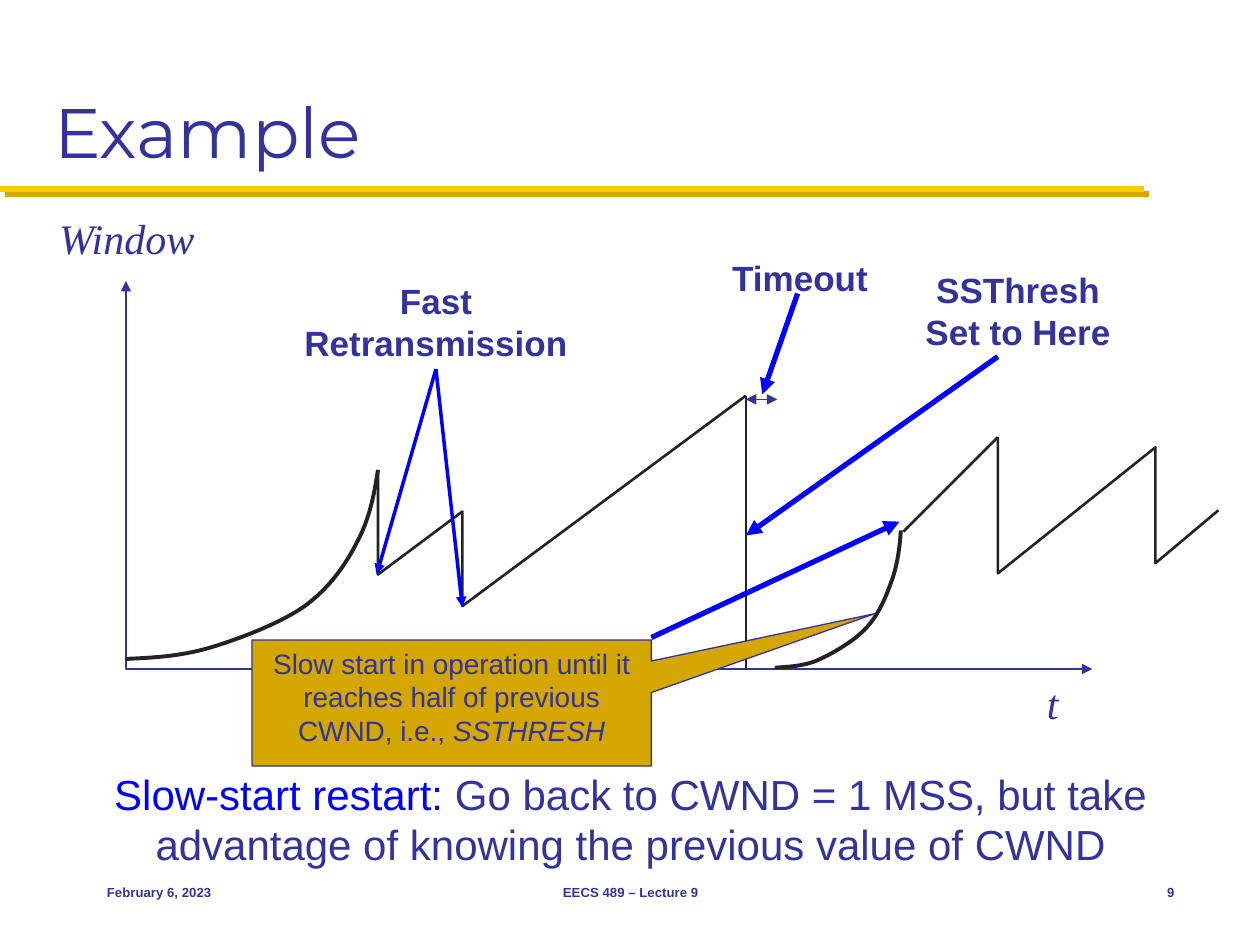
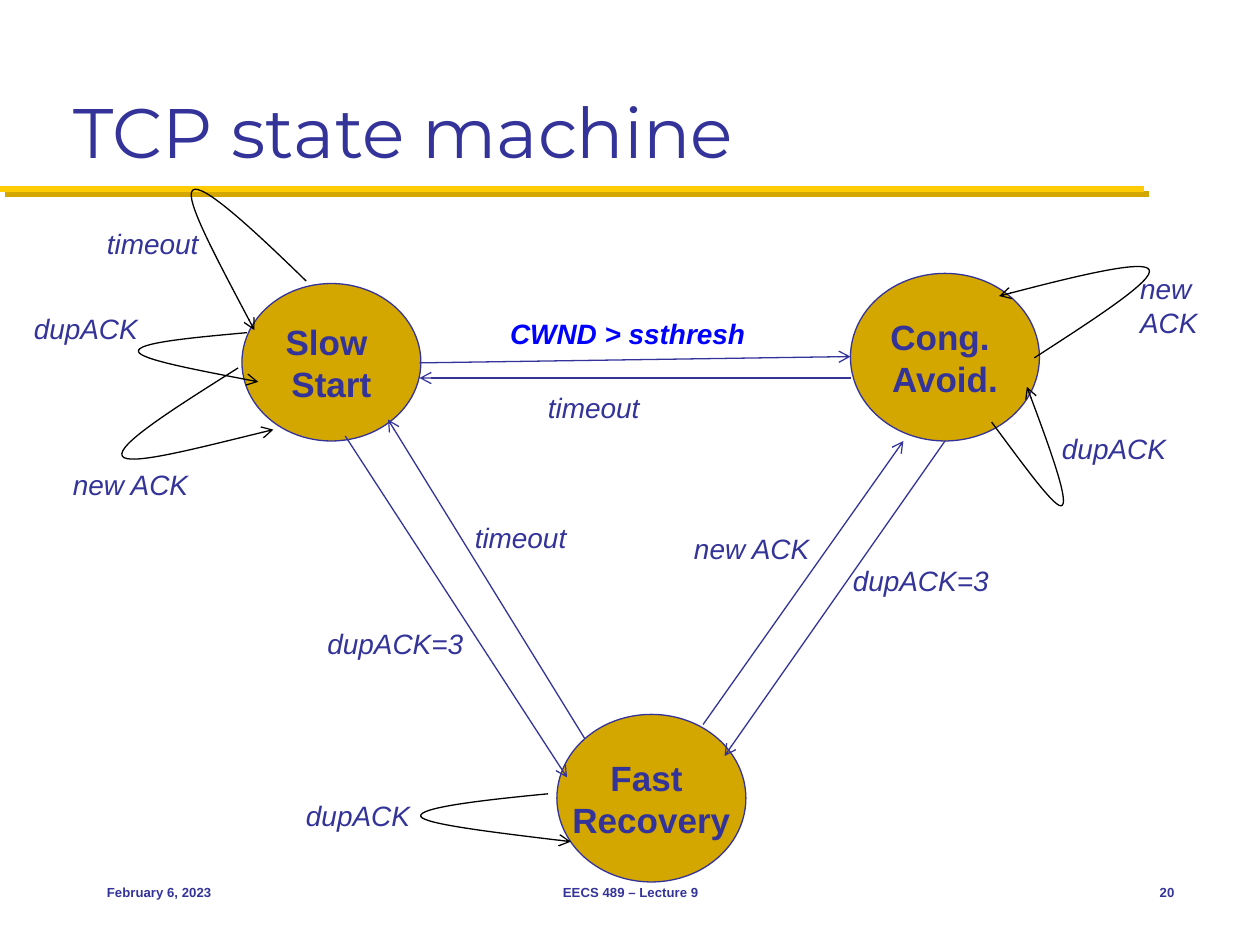
from collections import namedtuple

from lxml import etree
from pptx import Presentation
from pptx.dml.color import RGBColor
from pptx.enum.shapes import MSO_CONNECTOR, MSO_SHAPE
from pptx.enum.text import MSO_ANCHOR, MSO_AUTO_SIZE, PP_ALIGN
from pptx.oxml.ns import qn
from pptx.util import Inches, Pt

STRAIGHT = MSO_CONNECTOR.STRAIGHT
OVAL, CALLOUT = MSO_SHAPE.OVAL, MSO_SHAPE.RECTANGULAR_CALLOUT
TOP, MIDDLE, BOTTOM = MSO_ANCHOR.TOP, MSO_ANCHOR.MIDDLE, MSO_ANCHOR.BOTTOM
LEFT, CENTER, RIGHT = PP_ALIGN.LEFT, PP_ALIGN.CENTER, PP_ALIGN.RIGHT
GROW, FIXED = MSO_AUTO_SIZE.SHAPE_TO_FIT_TEXT, MSO_AUTO_SIZE.NONE

COLORS = {
    "navy": "333399", "blue": "0000FF", "yellow": "FFCB05",
    "gold": "D3A600", "ink": "232323", "black": "000000",
}
TITLE_FONT, BODY_FONT, AXIS_FONT = "Montserrat", "Arial", "Times New Roman"

Box = namedtuple("Box", "left top width height")
TITLE_BOX = Box(0.33, 0.17, 9.33, 1.25)
PLOT_BOX = Box(1, 2.23, 8.67, 3.08)
SUMMARY_BOX = Box(0.72, 6.05, 8.57, 0.91)
STATES_BOX = Box(0, 1.5, 10, 5.5)


def rgb(name):
    return RGBColor.from_string(COLORS[name])


def inside(box, left, top, width, height):
    """Turn a place measured from the corner of box into a place on the page."""
    return Box(box.left + left, box.top + top, width, height)


def shifted(box, points):
    return [(box.left + x, box.top + y) for x, y in points]


def lengths(values):
    return [Inches(value) for value in values]


def add_run(para, text, size, color="navy", font=BODY_FONT, bold=False, italic=False):
    span = para.add_run()
    span.text = text
    span.font.size = Pt(size)
    span.font.name = font
    span.font.bold = bold
    span.font.italic = italic
    span.font.color.rgb = rgb(color)


def add_text(page, box, lines, size, align=LEFT, wrap=True, fit=GROW,
             anchor=TOP, **style):
    """Add a text box with one paragraph for each line."""
    frame = page.shapes.add_textbox(*lengths(box)).text_frame
    frame.word_wrap = wrap
    frame.auto_size = fit
    frame.vertical_anchor = anchor
    for number, line in enumerate(lines):
        para = frame.add_paragraph() if number else frame.paragraphs[0]
        para.alignment = align
        add_run(para, line, size, **style)
    return frame.paragraphs[0]


def style_line(shape, color, width, head=None, tail=None):
    shape.line.color.rgb = rgb(color)
    shape.line.width = Pt(width)
    outline = shape.line._get_or_add_ln()
    for tag, kind in (("a:headEnd", head), ("a:tailEnd", tail)):
        if kind:
            etree.SubElement(outline, qn(tag)).set("type", kind)


def add_line(page, start, end, color, width, head=None, tail=None):
    line = page.shapes.add_connector(STRAIGHT, *lengths(start + end))
    style_line(line, color, width, head, tail)
    etree.SubElement(line.element.find(qn("p:spPr")), qn("a:effectLst"))
    return line


def add_path(page, points, color, width, head=None, tail=None):
    corners = [lengths(point) for point in points]
    builder = page.shapes.build_freeform(*corners[0])
    builder.add_line_segments(corners[1:], close=False)
    outline = builder.convert_to_shape()
    outline.fill.background()
    outline.shadow.inherit = False
    style_line(outline, color, width, head, tail)
    return outline


def add_curve(page, points, color, width, tail=None):
    """Draw Bezier arcs: a start, then two handles and an end for each arc."""
    curve = add_path(page, points, color, width, tail=tail)
    path = curve.element.find(".//" + qn("a:path"))
    segments = path.findall(qn("a:lnTo"))
    for first in range(0, len(segments), 3):
        arc = etree.SubElement(path, qn("a:cubicBezTo"))
        for segment in segments[first:first + 3]:
            arc.append(segment[0])
            path.remove(segment)


def add_filled(page, kind, box):
    shape = page.shapes.add_shape(kind, *lengths(box))
    shape.shadow.inherit = False
    shape.fill.solid()
    shape.fill.fore_color.rgb = rgb("gold")
    style_line(shape, "navy", 0.75)
    return shape


def add_title_band(deck, page):
    """Put the yellow rule and its gold shade on the slide master."""
    for offset, color in ((0.04, "gold"), (0, "yellow")):
        y = 1.5 + offset
        rule = add_line(page, (offset, y), (9.08 + offset, y), color, 3.5)
        deck.slide_master.shapes.element.append(rule.element)


def add_page(deck, title, number, indent=0.1):
    page = deck.slides.add_slide(deck.slide_layouts[5])
    holder = page.shapes.title
    holder.left, holder.top, holder.width, holder.height = lengths(TITLE_BOX)
    frame = holder.text_frame
    frame.auto_size = FIXED
    frame.vertical_anchor = BOTTOM
    frame.margin_left = Inches(indent)
    frame.paragraphs[0].alignment = LEFT
    add_run(frame.paragraphs[0], title, 40, font=TITLE_FONT)
    for left, width, text, align in (
        (0.75, 2.08, "February 6, 2023", LEFT),
        (3.42, 3.17, "EECS 489 – Lecture 9", CENTER),
        (8.75, 0.67, str(number), RIGHT),
    ):
        add_text(page, Box(left, 6.83, width, 0.5), [text], 7.5, align,
                 fit=FIXED, anchor=MIDDLE, bold=True)
    return page


def draw_window_curve(page, box):
    axes = [(0, 0), (0, box.height), (7.67, box.height)]
    add_path(page, shifted(box, axes), "navy", 1.5, "triangle", "triangle")
    slow_start = [
        (2, 1.5), (1.97, 1.7), (1.93, 1.9), (1.83, 2.08),
        (1.74, 2.26), (1.61, 2.44), (1.42, 2.58),
        (1.22, 2.72), (0.9, 2.84), (0.67, 2.91),
        (0.43, 2.98), (0.22, 2.99), (0, 3),
    ]
    restart = [
        (6.15, 1.98), (6.14, 2.13), (6.12, 2.27), (6.07, 2.4),
        (6.02, 2.54), (5.96, 2.67), (5.86, 2.77),
        (5.76, 2.87), (5.6, 2.96), (5.49, 3.01),
        (5.37, 3.06), (5.26, 3.06), (5.15, 3.07),
    ]
    for curve in (slow_start, restart):
        add_curve(page, shifted(box, curve), "ink", 2.25)
    first_teeth = [(2, 1.5), (2, 2.33), (2.67, 1.83), (2.67, 2.58), (4.92, 0.91)]
    last_teeth = [(6.92, 1.24), (6.92, 2.32), (8.17, 1.32), (8.17, 2.24), (8.67, 1.82)]
    for teeth in (first_teeth, last_teeth):
        add_path(page, shifted(box, teeth), "ink", 1.5)
    timeout_drop = [(4.92, 0.91), (4.92, box.height)]
    regrowth = [(6.17, 1.99), (6.92, 1.24)]
    for ends in (timeout_drop, regrowth):
        add_line(page, *shifted(box, ends), "ink", 1.5)


def draw_callout(page, box):
    callout = add_filled(page, CALLOUT, box)
    callout.adjustments[0], callout.adjustments[1] = 1.06, -0.71
    frame = callout.text_frame
    frame.word_wrap = True
    frame.vertical_anchor = TOP
    para = frame.paragraphs[0]
    para.alignment = CENTER
    add_run(para, "Slow start in operation until it reaches half of previous CWND, i.e., ", 16)
    add_run(para, "SSTHRESH", 16, italic=True)


def annotate_window_curve(page, box):
    for text, place in (("Window", (-0.63, -0.59, 1.29, 0.5)),
                        ("t", (7.21, 3.1, 0.29, 0.5))):
        add_text(page, inside(box, *place), [text], 24, wrap=False,
                 font=AXIS_FONT, italic=True)
    for lines, place in (
        (["Timeout"], (4.58, -0.24, 1.54, 0.43)),
        (["Fast Retransmission"], (1.17, -0.06, 2.58, 0.77)),
        (["SSThresh", "Set to Here"], (6.08, -0.15, 2, 0.77)),
    ):
        add_text(page, inside(box, *place), lines, 20, CENTER, bold=True)
    for start, end, width in (
        ((4.17, 2.83), (6.14, 1.91), 3),
        ((5.33, 0.1), (5.05, 0.9), 3),
        ((6.92, 0.6), (4.92, 2.02), 3),
        ((2.46, 0.7), (1.99, 2.33), 2),
        ((2.46, 0.7), (2.67, 2.59), 2),
    ):
        add_line(page, *shifted(box, (start, end)), "blue", width, tail="triangle")
    timeout_span = [(4.92, 0.94), (5.17, 0.94)]
    add_line(page, *shifted(box, timeout_span), "navy", 0.75, "triangle", "triangle")


def draw_summary(page, box):
    para = add_text(page, box, ["Slow-start restart:"], 24, CENTER, color="blue")
    add_run(para, " Go back to CWND = 1 MSS, but take advantage of knowing "
                  "the previous value of CWND", 24)


def draw_states(page, box):
    for first, second, place in (
        ("Slow ", "Start", (1.92, 0.75, 1.42, 1.25)),
        ("Cong. ", "Avoid.", (6.75, 0.67, 1.5, 1.33)),
        ("Fast ", "Recovery", (4.42, 4.17, 1.5, 1.33)),
    ):
        frame = add_filled(page, OVAL, inside(box, *place)).text_frame
        frame.word_wrap = False
        frame.vertical_anchor = MIDDLE
        para = frame.paragraphs[0]
        para.alignment = CENTER
        add_run(para, first, 20, bold=True)
        para.add_line_break()
        add_run(para, second, 20, bold=True)


def draw_transitions(page, box):
    for ends in (
        [(3.33, 1.38), (6.75, 1.33)], [(6.75, 1.5), (3.33, 1.5)],
        [(2.74, 1.96), (4.5, 4.67)], [(4.64, 4.36), (3.08, 1.83)],
        [(7.5, 2), (5.75, 4.5)], [(5.58, 4.25), (7.17, 2)],
    ):
        add_line(page, *shifted(box, ends), "navy", 0.75, tail="arrow")
    add_text(page, inside(box, 3.95, 0.96, 2.09, 0.37), ["CWND > ssthresh"], 16,
             wrap=False, color="blue", bold=True, italic=True)


def draw_self_loops(page, box):
    for loop in (
        [(4.35, 4.8), (3.83, 4.85), (3.31, 4.91), (3.34, 4.98),
         (3.37, 5.04), (3.95, 5.11), (4.53, 5.18)],
        [(1.89, 1.42), (1.4, 1.73), (0.92, 2.03), (0.97, 2.12),
         (1.02, 2.2), (1.59, 2.05), (2.17, 1.91)],
        [(2.43, 0.73), (2.02, 0.33), (1.6, -0.06), (1.53, 0.01),
         (1.46, 0.07), (1.74, 0.59), (2.02, 1.12)],
        [(8.21, 1.34), (8.69, 1.03), (9.17, 0.72), (9.12, 0.64),
         (9.08, 0.56), (8.5, 0.7), (7.93, 0.85)],
        [(1.96, 1.14), (1.52, 1.18), (1.08, 1.22), (1.1, 1.29),
         (1.11, 1.35), (1.58, 1.44), (2.05, 1.53)],
        [(7.87, 1.85), (8.13, 2.2), (8.39, 2.56), (8.43, 2.51),
         (8.48, 2.47), (8.32, 2.02), (8.15, 1.57)],
    ):
        add_curve(page, shifted(box, loop), "black", 0, tail="arrow")


def label_events(page, box):
    """Name the event beside every transition and loop."""
    widths = {"timeout": 0.94, "dupACK=3": 1.29, "new ACK": 1.13, "dupACK": 1.05}
    for text, left, top in (
        ("timeout", 4.25, 1.55), ("timeout", 3.67, 2.58), ("timeout", 0.75, 0.25),
        ("dupACK=3", 2.5, 3.42), ("dupACK=3", 6.67, 2.92),
        ("new ACK", 5.41, 2.67), ("new ACK", 0.48, 2.16),
        ("dupACK", 2.33, 4.79), ("dupACK", 0.17, 0.92), ("dupACK", 8.33, 1.88),
    ):
        add_text(page, inside(box, left, top, widths[text], 0.37), [text], 16,
                 wrap=False, italic=True)
    para = add_text(page, inside(box, 8.95, 0.61, 0.68, 0.64), ["new "], 16,
                    wrap=False, italic=True)
    para.add_line_break()
    add_run(para, "ACK", 16, italic=True)


def build_example(deck):
    page = add_page(deck, "Example", 9)
    add_title_band(deck, page)
    draw_window_curve(page, PLOT_BOX)
    draw_callout(page, inside(PLOT_BOX, 1, 2.85, 3.17, 1))
    annotate_window_curve(page, PLOT_BOX)
    draw_summary(page, SUMMARY_BOX)


def build_state_machine(deck):
    page = add_page(deck, "TCP state machine", 20, indent=0.25)
    for draw in (draw_states, draw_transitions, draw_self_loops, label_events):
        draw(page, STATES_BOX)


def main():
    deck = Presentation()
    deck.slide_width, deck.slide_height = Inches(10), Inches(7.5)
    build_example(deck)
    build_state_machine(deck)
    deck.save("out.pptx")


if __name__ == "__main__":
    main()
